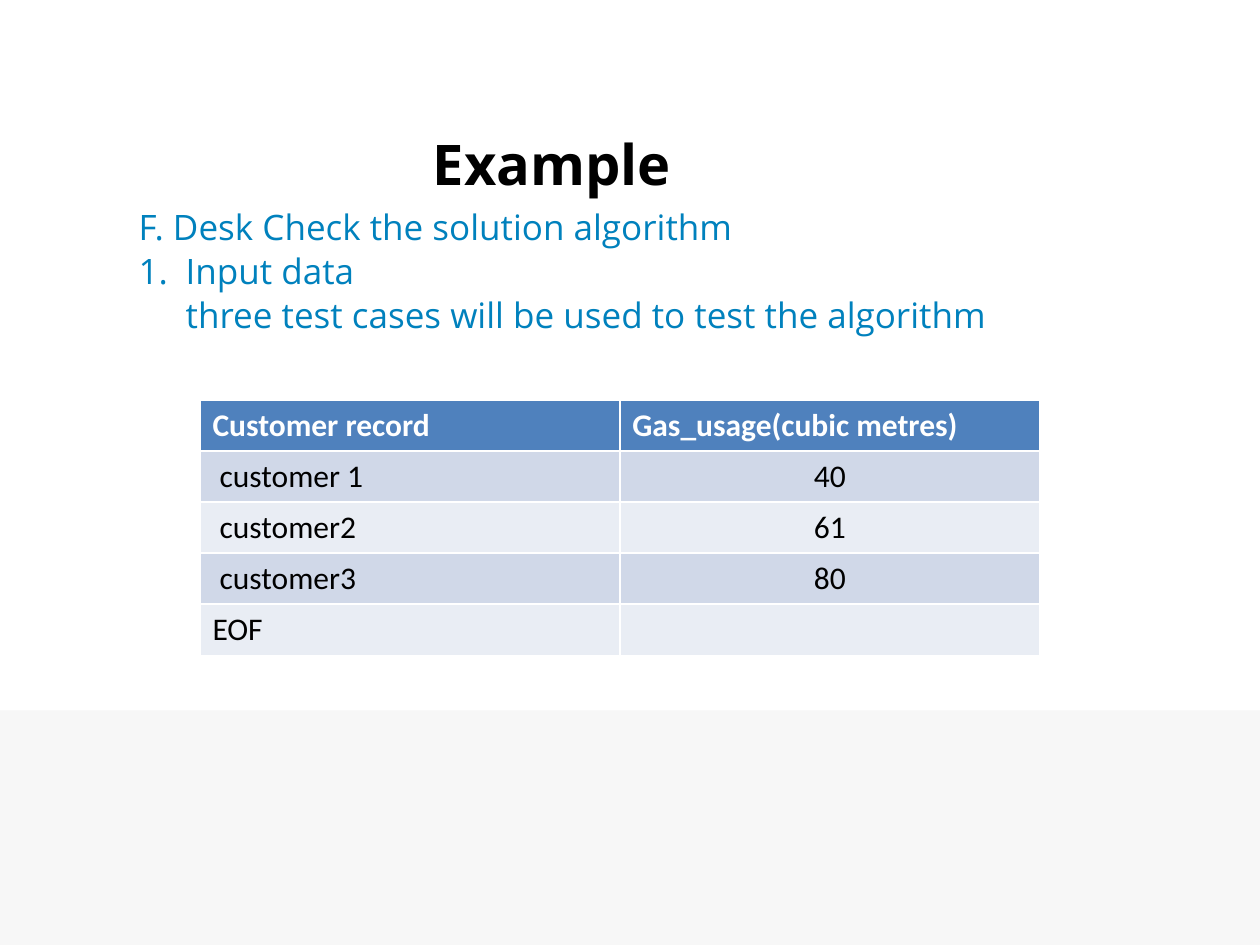
from dataclasses import dataclass

from lxml import etree
from pptx import Presentation
from pptx.dml.color import RGBColor
from pptx.enum.shapes import MSO_SHAPE
from pptx.enum.text import MSO_ANCHOR, MSO_AUTO_SIZE, PP_ALIGN
from pptx.oxml.ns import qn
from pptx.util import Cm, Pt

RECTANGLE = MSO_SHAPE.RECTANGLE
LEFT, CENTER = PP_ALIGN.LEFT, PP_ALIGN.CENTER
MIDDLE, TOP = MSO_ANCHOR.MIDDLE, MSO_ANCHOR.TOP
NO_AUTOFIT = MSO_AUTO_SIZE.NONE

COLORS = {
    "band": "F7F7F7",
    "text": "000000",
    "list": "0081BD",
    "header": "4F81BD",
    "header text": "FFFFFF",
    "odd row": "D0D8E8",
    "even row": "E9EDF4",
}
HEADING_FONT, TABLE_FONT = "Open Sans", "Calibri"
LIST_INDENT = Cm(0.95)


@dataclass
class ListItem:
    text: str
    margin: int = LIST_INDENT
    first_line: int = -LIST_INDENT
    numbered: bool = False


@dataclass
class Record:
    customer: str
    gas_usage: str


ITEMS = [
    ListItem("F. Desk Check the solution algorithm"),
    ListItem("Input data", numbered=True),
    ListItem("three test cases will be used to test the algorithm", first_line=0),
]
HEADER = Record("Customer record", "Gas_usage(cubic metres)")
RECORDS = [
    Record(" customer 1", "40"),
    Record(" customer2", "61"),
    Record(" customer3", "80"),
    Record("EOF", ""),
]


def write(paragraph, text: str, *, font: str, size: float, color: str,
          bold: bool = False, align=LEFT) -> None:
    paragraph.alignment = align
    run = paragraph.add_run()
    run.text = text
    run.font.name = font
    run.font.size = Pt(size)
    run.font.bold = bold
    run.font.color.rgb = RGBColor.from_string(COLORS[color])


def place(shape, left: float, top: float, width: float, height: float) -> None:
    """Move and size a shape, in centimetres."""
    shape.left, shape.top = Cm(left), Cm(top)
    shape.width, shape.height = Cm(width), Cm(height)


def set_bullet(paragraph, item: ListItem) -> None:
    properties = paragraph._p.get_or_add_pPr()
    properties.set("marL", str(item.margin))
    properties.set("indent", str(item.first_line))
    if item.numbered:
        number = etree.SubElement(properties, qn("a:buAutoNum"))
        number.set("type", "arabicPeriod")
    else:
        etree.SubElement(properties, qn("a:buNone"))


def add_bottom_band(slide) -> None:
    band = slide.shapes.add_shape(RECTANGLE, 0, Cm(14.32), Cm(25.4), Cm(4.73))
    band.shadow.inherit = False
    band.fill.solid()
    band.fill.fore_color.rgb = RGBColor.from_string(COLORS["band"])
    band.line.fill.background()


def fill_title(title) -> None:
    place(title, 8.47, 1.7, 15.66, 3.18)
    title.text_frame.vertical_anchor = MIDDLE
    write(title.text_frame.paragraphs[0], "Example",
          font=HEADING_FONT, size=32, color="text", bold=True)


def fill_list(body, items: list[ListItem]) -> None:
    place(body, 2.54, 4.02, 22.86, 12.78)
    frame = body.text_frame
    frame.auto_size = NO_AUTOFIT
    frame.vertical_anchor = TOP
    for index, item in enumerate(items):
        paragraph = frame.add_paragraph() if index else frame.paragraphs[0]
        paragraph.space_before = Pt(1 if index else 0)
        set_bullet(paragraph, item)
        write(paragraph, item.text, font=HEADING_FONT, size=20, color="list")


def fill_row(table, index: int, record: Record) -> None:
    is_header = index == 0
    fill = "header" if is_header else "odd row" if index % 2 else "even row"
    for column, text in enumerate((record.customer, record.gas_usage)):
        cell = table.cell(index, column)
        cell.fill.solid()
        cell.fill.fore_color.rgb = RGBColor.from_string(COLORS[fill])
        if text:
            write(cell.text_frame.paragraphs[0], text, font=TABLE_FONT, size=18,
                  color="header text" if is_header else "text", bold=is_header,
                  align=CENTER if column and not is_header else LEFT)


def add_record_table(slide, records: list[Record]) -> None:
    rows = [HEADER, *records]
    frame = slide.shapes.add_table(len(rows), 2, Cm(4.03), Cm(8.06),
                                   Cm(16.93), Cm(1.03) * len(rows))
    for index, record in enumerate(rows):
        fill_row(frame.table, index, record)


def main() -> None:
    presentation = Presentation()
    presentation.slide_width, presentation.slide_height = Cm(25.4), Cm(19.05)
    slide = presentation.slides.add_slide(presentation.slide_layouts[1])
    title, body = slide.placeholders
    add_bottom_band(slide)
    fill_title(title)
    fill_list(body, ITEMS)
    add_record_table(slide, RECORDS)
    presentation.save("out.pptx")


if __name__ == "__main__":
    main()
